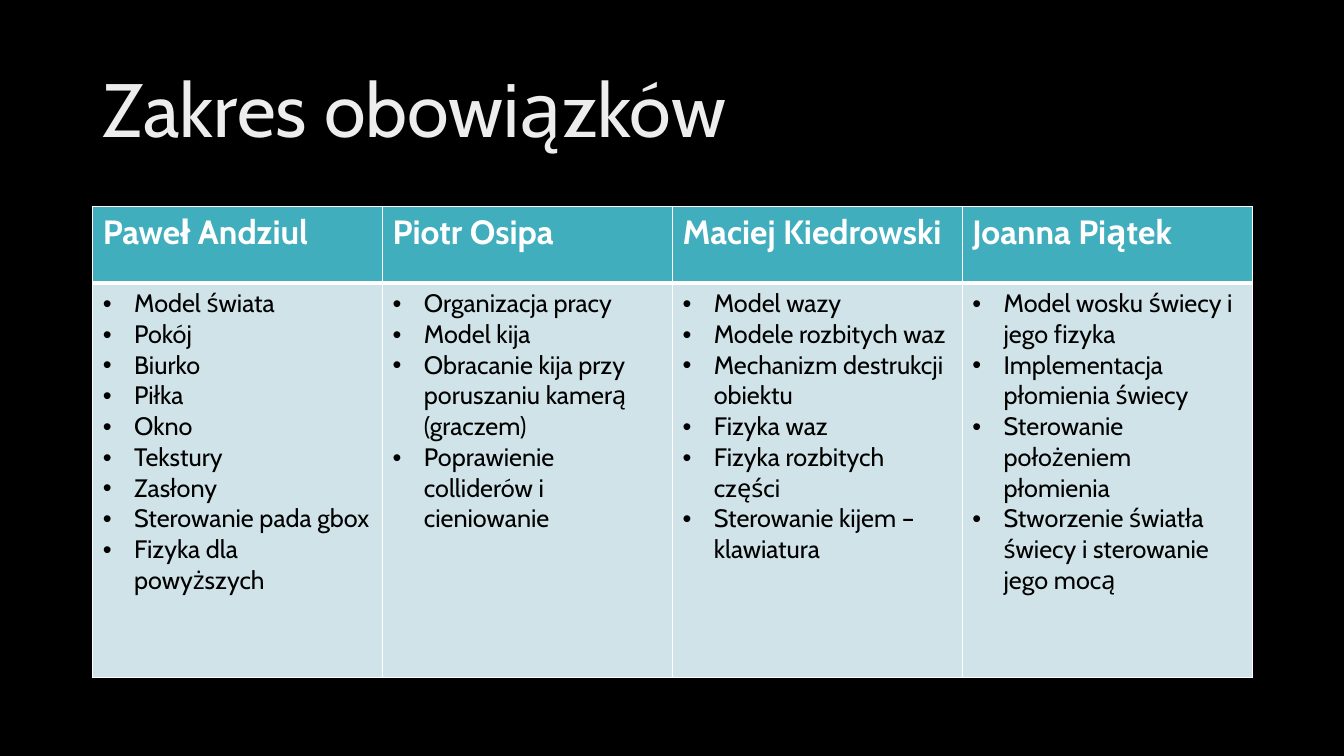
import copy
from dataclasses import dataclass

import lxml.etree
import pptx
import pptx.dml.color
import pptx.enum.text
import pptx.oxml.ns
import pptx.util

Inches = pptx.util.Inches
Pt = pptx.util.Pt
qn = pptx.oxml.ns.qn


@dataclass(frozen=True)
class Theme:
    font: str = "Cabin"
    back: str = "000000"
    head: str = "41AEBD"
    body: str = "CFE3E8"
    light: str = "FFFFFF"
    dark: str = "000000"
    shine: tuple = ((0, "BFBFBF"), (0.28, "EDEDED"), (1, "FFFFFF"))
    title_size: int = 54
    head_size: int = 24
    body_size: int = 18
    thin: int = 1
    thick: int = 3


@dataclass(frozen=True)
class Person:
    name: str
    tasks: tuple


THEME = Theme()
LEFT, WIDTH = 0.92, 11.5
HEAD_ROW, BODY_ROW = 0.76, 3.91
INDENT = 0.31

TEAM = (
    Person("Paweł Andziul", (
        "Model świata", "Pokój", "Biurko", "Piłka", "Okno", "Tekstury",
        "Zasłony", "Sterowanie pada gbox", "Fizyka dla powyższych")),
    Person("Piotr Osipa", (
        "Organizacja pracy", "Model kija",
        "Obracanie kija przy poruszaniu kamerą (graczem)",
        "Poprawienie colliderów i cieniowanie")),
    Person("Maciej Kiedrowski", (
        "Model wazy", "Modele rozbitych waz", "Mechanizm destrukcji obiektu",
        "Fizyka waz", "Fizyka rozbitych części",
        "Sterowanie kijem – klawiatura")),
    Person("Joanna Piątek", (
        "Model wosku świecy i jego fizyka", "Implementacja płomienia świecy",
        "Sterowanie położeniem płomienia",
        "Stworzenie światła świecy i sterowanie jego mocą")),
)


def color(code: str) -> pptx.dml.color.RGBColor:
    return pptx.dml.color.RGBColor.from_string(code)


def add_title(slide, text: str) -> None:
    title = slide.shapes.title
    title.left, title.top = Inches(LEFT), Inches(0.4)
    title.width, title.height = Inches(WIDTH), Inches(1.45)
    frame = title.text_frame
    frame.text = text
    frame.word_wrap = True
    frame.auto_size = pptx.enum.text.MSO_AUTO_SIZE.NONE
    frame.vertical_anchor = pptx.enum.text.MSO_ANCHOR.MIDDLE
    para = frame.paragraphs[0]
    para.alignment = pptx.enum.text.PP_ALIGN.LEFT
    para.line_spacing = 0.9
    run = para.runs[0]
    run.font.name = THEME.font
    run.font.size = Pt(THEME.title_size)

    # Three-stop gradient; the angle is counted counter-clockwise
    fill = run.font.fill
    fill.gradient()
    fill.gradient_angle = 280
    stops = run._r.xpath(".//a:gsLst")[0]
    stops.append(copy.deepcopy(stops[0]))
    for stop, (place, code) in zip(fill.gradient_stops, THEME.shine):
        stop.position = place
        stop.color.rgb = color(code)


def add_edges(cell, top: int, bottom: int) -> None:
    props = cell._tc.get_or_add_tcPr()
    sides = {"L": THEME.thin, "R": THEME.thin, "T": top, "B": bottom}
    for side, width in sides.items():
        line = lxml.etree.SubElement(props, qn(f"a:ln{side}"), w=str(Pt(width)))
        paint = lxml.etree.SubElement(line, qn("a:solidFill"))
        lxml.etree.SubElement(paint, qn("a:srgbClr"), val=THEME.light)


def fill_cell(cell, text: str, fill: str, ink: str, size: int, bold: bool) -> None:
    cell.fill.solid()
    cell.fill.fore_color.rgb = color(fill)
    cell.text_frame.text = text
    for para in cell.text_frame.paragraphs:
        font = para.runs[0].font
        font.name, font.size, font.bold = THEME.font, Pt(size), bold
        font.color.rgb = color(ink)


def add_bullets(cell) -> None:
    for para in cell.text_frame.paragraphs:
        props = para._p.get_or_add_pPr()
        props.set("marL", str(Inches(INDENT)))
        props.set("indent", str(-Inches(INDENT)))
        lxml.etree.SubElement(props, qn("a:buFont"), typeface="Arial")
        lxml.etree.SubElement(props, qn("a:buChar"), char="•")


def add_duties(slide, team: tuple) -> None:
    table = slide.shapes.add_table(
        2, len(team), Inches(LEFT), Inches(2.05),
        Inches(WIDTH), Inches(HEAD_ROW + BODY_ROW)).table
    table.rows[0].height = Inches(HEAD_ROW)
    table.rows[1].height = Inches(BODY_ROW)
    for col, person in enumerate(team):
        table.columns[col].width = Inches(WIDTH / len(team))
        head, body = table.cell(0, col), table.cell(1, col)
        add_edges(head, THEME.thin, THEME.thick)
        add_edges(body, THEME.thick, THEME.thin)
        fill_cell(head, person.name, THEME.head, THEME.light,
                  THEME.head_size, True)
        fill_cell(body, "\n".join(person.tasks), THEME.body, THEME.dark,
                  THEME.body_size, False)
        add_bullets(body)


def main() -> None:
    deck = pptx.Presentation()
    deck.slide_width, deck.slide_height = Inches(13.33), Inches(7.5)
    # Title Only layout on a black background
    slide = deck.slides.add_slide(deck.slide_layouts[5])
    slide.background.fill.solid()
    slide.background.fill.fore_color.rgb = color(THEME.back)
    add_title(slide, "Zakres obowiązków")
    add_duties(slide, TEAM)
    deck.save("out.pptx")


if __name__ == "__main__":
    main()
